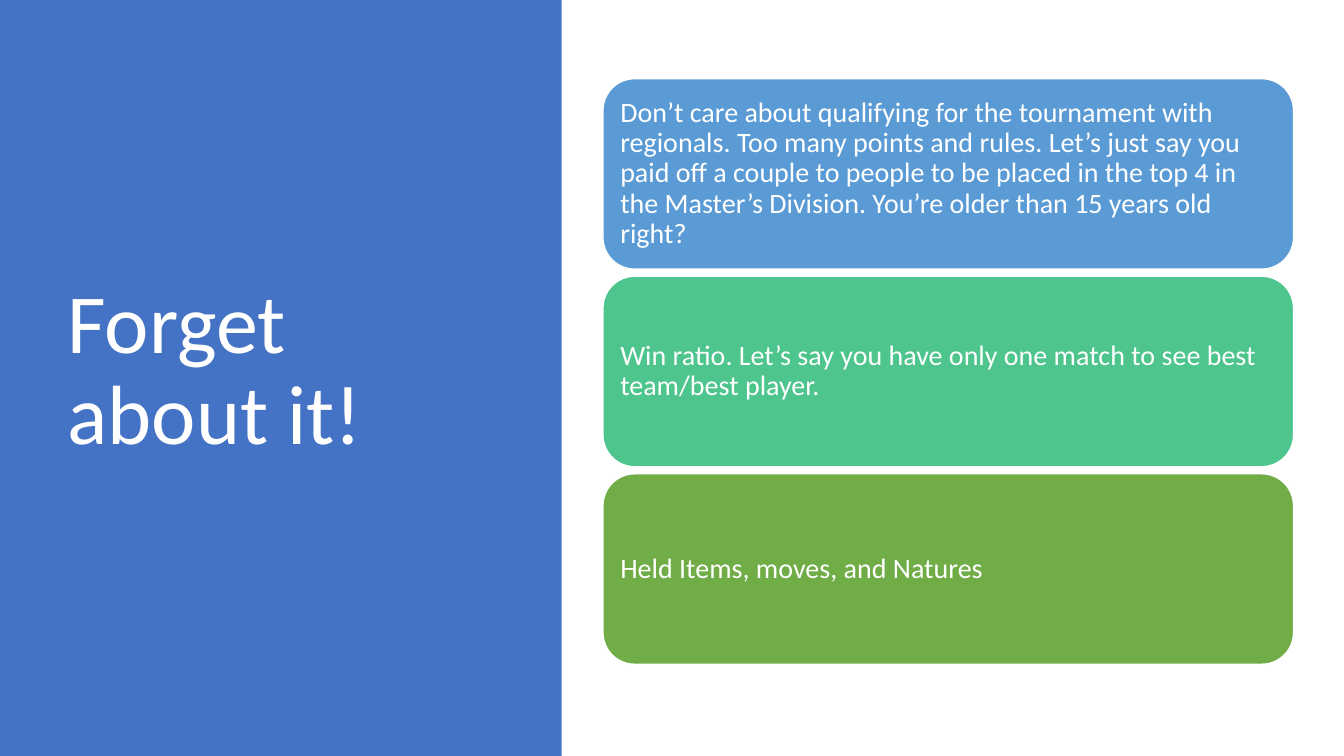
import pptx
import pptx.util
import pptx.dml.color
import pptx.enum.shapes
import pptx.enum.text

Inches = pptx.util.Inches
Pt = pptx.util.Pt
RGBColor = pptx.dml.color.RGBColor
SHAPE = pptx.enum.shapes.MSO_SHAPE

WHITE = RGBColor(0xFF, 0xFF, 0xFF)
NAVY = RGBColor(0x44, 0x72, 0xC4)
SKY = RGBColor(0x5B, 0x9B, 0xD5)
MINT = RGBColor(0x4D, 0xC5, 0x8D)
GRASS = RGBColor(0x70, 0xAD, 0x47)

CARDS = [
    (SKY, "Don’t care about qualifying for the tournament with regionals. "
          "Too many points and rules. Let’s just say you paid off a couple to "
          "people to be placed in the top 4 in the Master’s Division. "
          "You’re older than 15 years old right?"),
    (MINT, "Win ratio. Let’s say you have only one match to see best "
           "team/best player."),
    (GRASS, "Held Items, moves, and Natures"),
]


def assign(item, style):
    """Set each named attribute of an item."""
    for name, value in style.items():
        setattr(item, name, value)


def write(shape, text, size, pad_x, pad_y):
    """Put white, left-aligned, middle-anchored text in a shape."""
    frame = shape.text_frame
    assign(frame, {
        "text": text,
        "word_wrap": True,
        "vertical_anchor": pptx.enum.text.MSO_ANCHOR.MIDDLE,
        "margin_left": Inches(pad_x),
        "margin_right": Inches(pad_x),
        "margin_top": Inches(pad_y),
        "margin_bottom": Inches(pad_y),
    })
    para = frame.paragraphs[0]
    assign(para, {"alignment": pptx.enum.text.PP_ALIGN.LEFT,
                  "line_spacing": 0.9})
    font = para.runs[0].font
    assign(font, {"name": "Calibri", "size": Pt(size)})
    font.color.rgb = WHITE


def block(slide, kind, box, fill):
    """Add a filled shape without outline or shadow."""
    shape = slide.shapes.add_shape(kind, *map(Inches, box))
    shape.shadow.inherit = False
    shape.fill.solid()
    shape.fill.fore_color.rgb = fill
    shape.line.fill.background()
    return shape


def panel(slide, left, top, width, height):
    """Draw the title panel inside its box."""
    block(slide, SHAPE.RECTANGLE, (left, top, width, height), NAVY)
    box = (left + 0.57, top + 0.68, width - 1.41, height - 1.48)
    title = slide.shapes.add_textbox(*map(Inches, box))
    write(title, "Forget about it!", 60, 0.1, 0.05)


def stack(slide, left, top, width, height):
    """Stack the cards evenly inside the given box."""
    gap = 0.07
    tall = (height - gap * (len(CARDS) - 1)) / len(CARDS)
    for row, (fill, text) in enumerate(CARDS):
        box = (left, top + row * (tall + gap), width, tall)
        card = block(slide, SHAPE.ROUNDED_RECTANGLE, box, fill)
        card.line.color.rgb = WHITE
        card.line.width = Pt(1)
        write(card, text, 20, 0.08, 0.08)


def main():
    """Build and save the slide."""
    deck = pptx.Presentation()
    assign(deck, {"slide_width": Inches(13.33), "slide_height": Inches(7.5)})
    slide = deck.slides.add_slide(deck.slide_layouts[6])
    panel(slide, 0, 0, 5.57, 7.5)
    stack(slide, 5.98, 0.78, 6.85, 5.81)
    deck.save("out.pptx")


if __name__ == "__main__":
    main()
